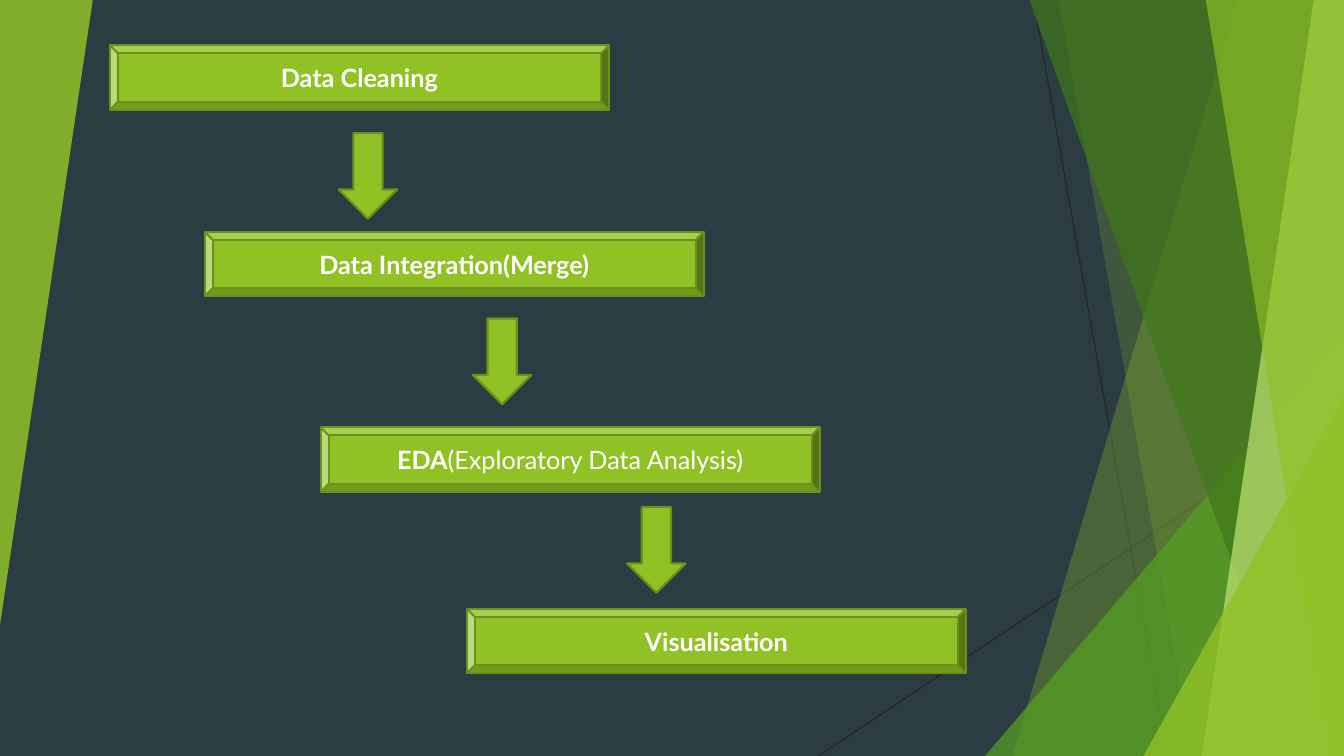
"""Draw a four-step data workflow on a faceted green backdrop."""
from dataclasses import dataclass

from lxml.etree import SubElement
from pptx import Presentation
from pptx.dml.color import RGBColor
from pptx.enum.shapes import MSO_CONNECTOR, MSO_SHAPE
from pptx.enum.text import MSO_ANCHOR, PP_ALIGN
from pptx.oxml.ns import qn
from pptx.shapes.autoshape import Shape
from pptx.shapes.shapetree import SlideShapes
from pptx.util import Inches, Pt


@dataclass(frozen=True)
class Theme:
    """Colours, font and sizes of the slide."""
    back: str = "2C3C43"
    lime: str = "90C226"
    leaf: str = "54A021"
    moss: str = "3F7819"
    pale: str = "C0E474"
    edge: str = "6B901C"
    ray: str = "262626"
    text: str = "FFFFFF"
    font: str = "Lato"
    size: float = 18
    rim: float = 1.5
    thin: float = 0.75


@dataclass(frozen=True)
class Ray:
    """A thin line between two points."""
    x1: float
    y1: float
    x2: float
    y2: float


@dataclass(frozen=True)
class Band:
    """A sheet from a slanted left side to the right slide edge."""
    top: float
    foot: float
    tint: str
    alpha: int


@dataclass(frozen=True)
class Wedge:
    """A right-angled triangle."""
    x: float
    y: float
    wide: float
    high: float
    tint: str
    alpha: int
    turn: int = 0


@dataclass(frozen=True)
class Step:
    """A workflow box with a bold and a plain text part."""
    x: float
    y: float
    bold: str
    plain: str = ""


@dataclass(frozen=True)
class Arrow:
    """A block arrow that points down."""
    x: float
    y: float


THEME = Theme()
WIDE, HIGH = 13.33, 7.5
BOX = (4.95, 0.64)
DART = (0.58, 0.85)
RAYS = [Ray(10.25, 0, 11.58, HIGH), Ray(WIDE, 4.03, 8.12, HIGH)]
FACETS = [
    Band(12.28, 10.04, THEME.lime, 30),
    Band(10.5, 11.83, THEME.lime, 20),
    Wedge(9.77, 3.33, 3.56, 4.17, THEME.leaf, 72),
    Band(10.21, 12.91, THEME.moss, 70),
    Band(13.03, 11.92, THEME.pale, 70),
    Band(11.96, 13.18, THEME.lime, 65),
    Wedge(11.34, 3.93, 1.99, 3.57, THEME.lime, 80),
    Wedge(0, 0, 0.92, 6.2, THEME.lime, 85, 180),
]
STEPS = [
    Step(1.09, 0.45, "Data Cleaning"),
    Step(2.03, 2.3, "Data Integration(Merge)"),
    Step(3.18, 4.24, "EDA", "(Exploratory Data Analysis)"),
    Step(4.63, 6.04, "Visualisation"),
]
ARROWS = [Arrow(3.36, 1.32), Arrow(4.69, 3.16), Arrow(6.22, 5.03)]


def apply(item: object, form: dict[str, object]) -> None:
    """Set each named attribute of an item."""
    for name, value in form.items():
        setattr(item, name, value)


def paint(shape: Shape, tint: str, alpha: int = 100) -> None:
    """Fill a shape with a colour and drop its shadow."""
    shape.shadow.inherit = False
    shape.fill.solid()
    shape.fill.fore_color.rgb = RGBColor.from_string(tint)
    if alpha < 100:
        color = shape.fill._xPr.find(".//" + qn("a:srgbClr"))
        SubElement(color, qn("a:alpha")).set("val", str(alpha * 1000))


def add_ray(shapes: SlideShapes, ray: Ray) -> None:
    """Draw a thin backdrop line."""
    ends = map(Inches, (ray.x1, ray.y1, ray.x2, ray.y2))
    line = shapes.add_connector(MSO_CONNECTOR.STRAIGHT, *ends)
    line.line.color.rgb = RGBColor.from_string(THEME.ray)
    line.line.width = Pt(THEME.thin)
    SubElement(line._element.spPr, qn("a:effectLst"))


def add_band(shapes: SlideShapes, band: Band) -> None:
    """Draw a slanted see-through sheet."""
    spots = [(band.top, 0), (WIDE, 0), (WIDE, HIGH), (band.foot, HIGH)]
    first, *rest = [(Inches(x), Inches(y)) for x, y in spots]
    pen = shapes.build_freeform(*first)
    pen.add_line_segments(rest)
    shape = pen.convert_to_shape()
    paint(shape, band.tint, band.alpha)
    shape.line.fill.background()


def add_wedge(shapes: SlideShapes, wedge: Wedge) -> None:
    """Draw a see-through triangle with its tip above the right corner."""
    frame = map(Inches, (wedge.x, wedge.y, wedge.wide, wedge.high))
    shape = shapes.add_shape(MSO_SHAPE.ISOSCELES_TRIANGLE, *frame)
    shape.adjustments[0] = 1
    shape.rotation = wedge.turn
    paint(shape, wedge.tint, wedge.alpha)
    shape.line.fill.background()


def add_block(shapes: SlideShapes, kind: MSO_SHAPE, spot: Step | Arrow,
              size: tuple[float, float]) -> Shape:
    """Draw a rimmed lime shape."""
    shape = shapes.add_shape(kind, *map(Inches, (spot.x, spot.y, *size)))
    paint(shape, THEME.lime)
    shape.line.color.rgb = RGBColor.from_string(THEME.edge)
    shape.line.width = Pt(THEME.rim)
    return shape


def add_step(shapes: SlideShapes, step: Step) -> None:
    """Draw a bevelled box with its label."""
    frame = add_block(shapes, MSO_SHAPE.BEVEL, step, BOX).text_frame
    apply(frame, {"word_wrap": True, "vertical_anchor": MSO_ANCHOR.MIDDLE})
    para = frame.paragraphs[0]
    para.alignment = PP_ALIGN.CENTER
    for text, bold in ((step.bold, True), (step.plain, False)):
        if text:
            run = para.add_run()
            run.text = text
            apply(run.font, {"name": THEME.font, "size": Pt(THEME.size), "bold": bold})
            run.font.color.rgb = RGBColor.from_string(THEME.text)


def main() -> None:
    """Build and save the slide."""
    deck = Presentation()
    apply(deck, {"slide_width": Inches(WIDE), "slide_height": Inches(HIGH)})
    slide = deck.slides.add_slide(deck.slide_layouts[6])
    slide.background.fill.solid()
    slide.background.fill.fore_color.rgb = RGBColor.from_string(THEME.back)
    shapes = slide.shapes
    for ray in RAYS:
        add_ray(shapes, ray)
    for facet in FACETS:
        if isinstance(facet, Band):
            add_band(shapes, facet)
        else:
            add_wedge(shapes, facet)
    for step in STEPS:
        add_step(shapes, step)
    for arrow in ARROWS:
        add_block(shapes, MSO_SHAPE.DOWN_ARROW, arrow, DART)
    deck.save("out.pptx")


if __name__ == "__main__":
    main()
